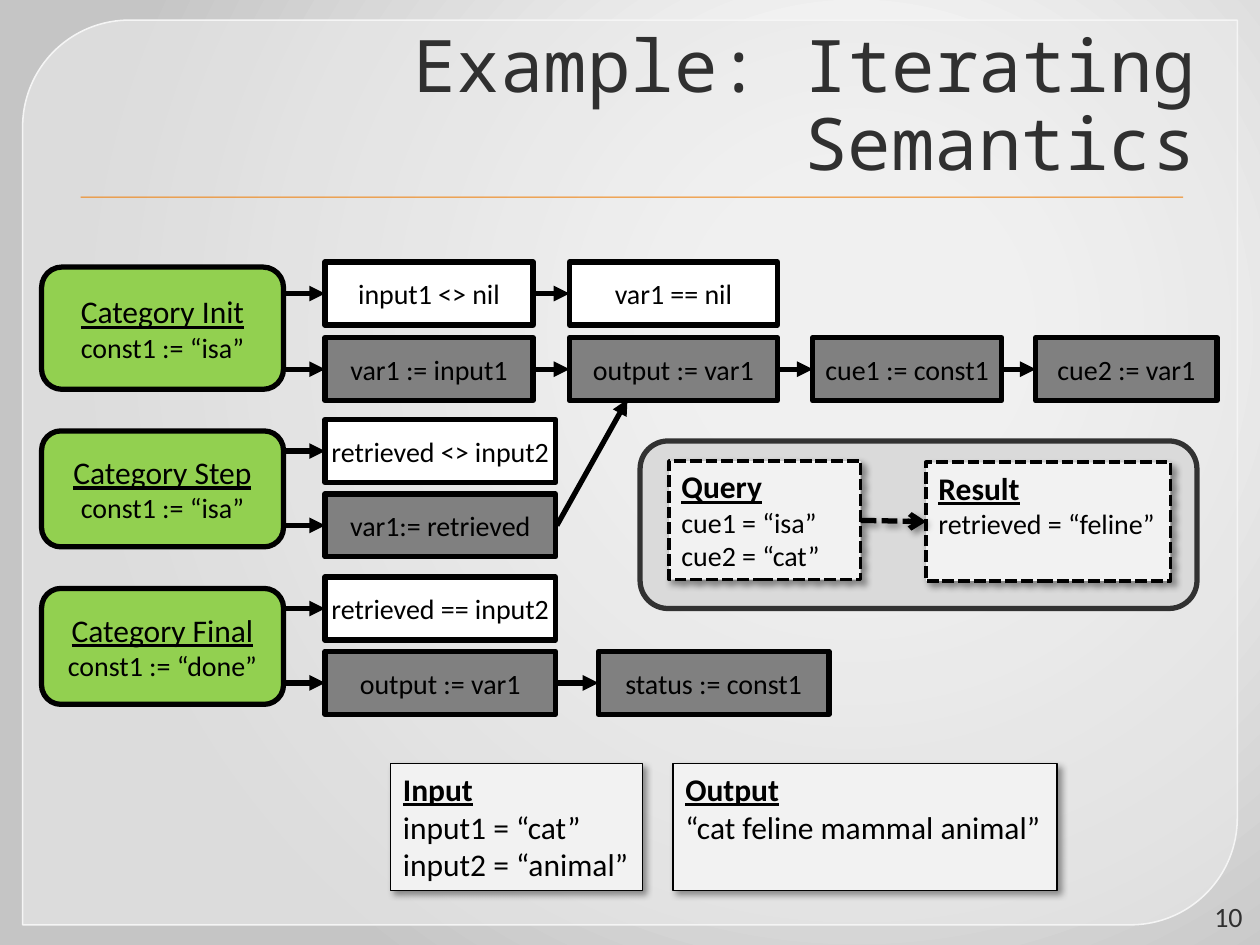
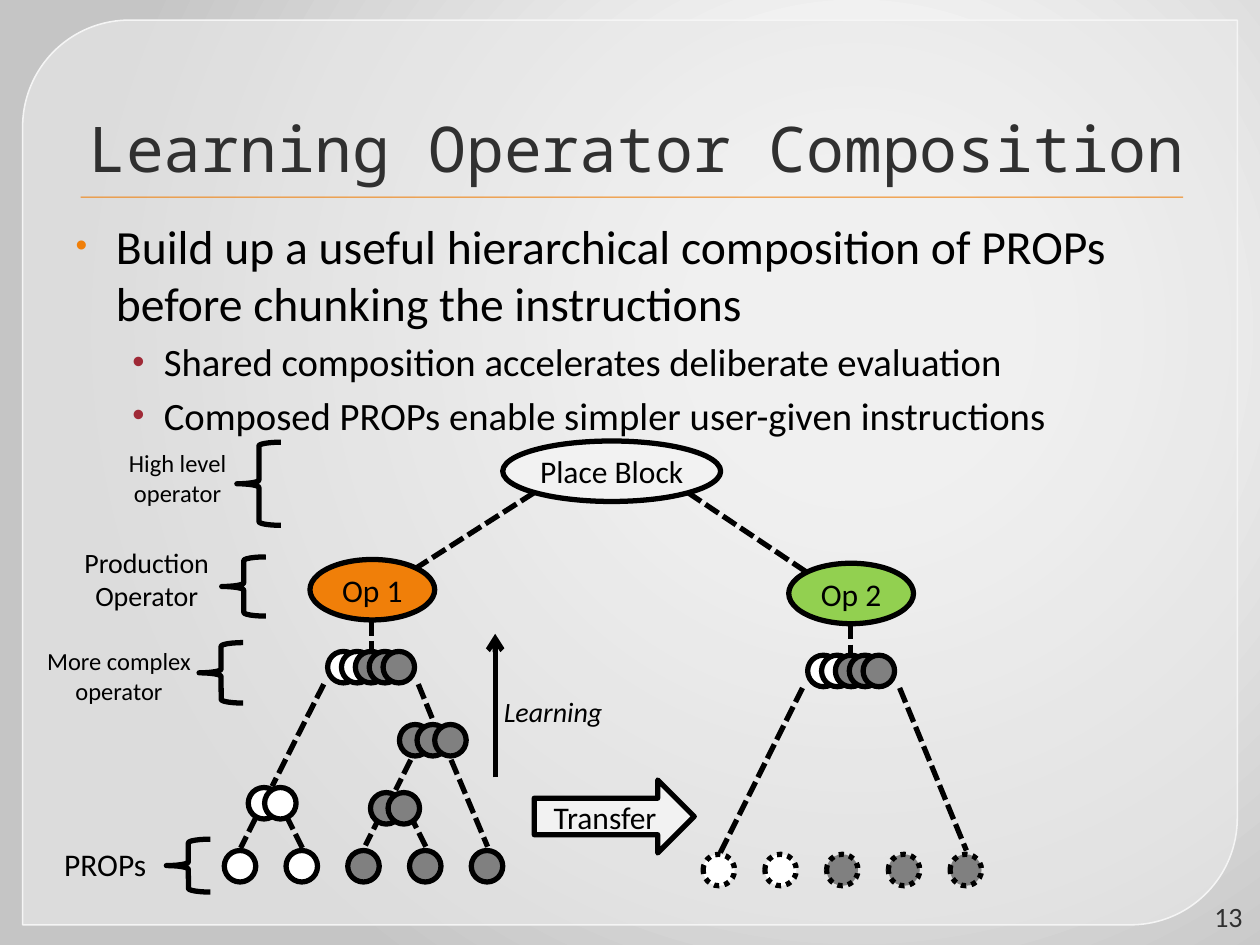
from lxml import etree
from pptx import Presentation
from pptx import util as u
from pptx.dml.color import RGBColor
from pptx.enum import dml, shapes, text
from pptx.oxml import parse_xml
from pptx.oxml.ns import nsdecls, qn

Inches, Pt = u.Inches, u.Pt
SHAPE, ALIGN, ANCHOR = shapes.MSO_SHAPE, text.PP_ALIGN, text.MSO_ANCHOR
DASH, DOT = dml.MSO_LINE.SQUARE_DOT, dml.MSO_LINE.ROUND_DOT


class Theme:
    body_font, title_font = "Calibri", "Noto Sans Mono"
    black, white, gray, pale = "000000", "FFFFFF", "808080", "F2F2F2"
    orange, green, red = "F07F09", "92D050", "9F2936"
    title, panel, panel_edge = "303030", "E9E9E9", "F5F5F5"
    memory, memory_edge = "DADADA", "323232"
    backdrop = "C5C5C5"
    heading, label, small = 18, 16, 14
    bullet, sub_bullet = 27.2, 22.1
    stroke = 3


SHADOW = (f'<a:outerShdw {nsdecls("a")} blurRad="50800" dist="38100" dir="2700000">'
          '<a:srgbClr val="000000"><a:alpha val="40000"/></a:srgbClr></a:outerShdw>')


def add_box(page, kind, at, lines=(), fill=None, line=Theme.black, width=Theme.stroke,
            dash=None, shadow=False, align=ALIGN.CENTER, anchor=ANCHOR.MIDDLE,
            margins=(0, 0), color=Theme.black):
    """Add a shape, or a text box when kind is None; lines are (text, size, style letters)."""
    place = [Inches(value) for value in at]
    if kind is None:
        box = page.shapes.add_textbox(*place)
    else:
        box = page.shapes.add_shape(kind, *place)
        box.shadow.inherit = False
        if shadow:
            box._element.spPr.find(qn("a:effectLst")).append(parse_xml(SHADOW))
        if fill:
            box.fill.solid()
            box.fill.fore_color.rgb = RGBColor.from_string(fill)
        else:
            box.fill.background()
        if line:
            box.line.color.rgb = RGBColor.from_string(line)
            box.line.width = Pt(width)
            if dash:
                box.line.dash_style = dash
        else:
            box.line.fill.background()
    if lines:
        frame = box.text_frame
        frame.word_wrap = True
        frame.vertical_anchor = anchor
        frame.margin_left, frame.margin_right = map(Inches, margins)
        frame.text = "\n".join(words for words, _, _ in lines)
        for para, (_, size, style) in zip(frame.paragraphs, lines):
            para.alignment = align
            font = para.runs[0].font
            font.name, font.size = Theme.body_font, Pt(size)
            font.color.rgb = RGBColor.from_string(color)
            font.bold, font.italic, font.underline = (letter in style for letter in "biu")
    return box


def add_link(page, start, end, head=None, dash=None, shadow=False):
    link = page.shapes.add_connector(
        shapes.MSO_CONNECTOR.STRAIGHT, *(Inches(value) for value in start + end))
    link.line.color.rgb = RGBColor.from_string(Theme.black)
    link.line.width = Pt(Theme.stroke)
    if dash:
        link.line.dash_style = dash
    if head:
        etree.SubElement(link.line._get_or_add_ln(), qn("a:tailEnd"), type=head)
    effects = etree.SubElement(link._element.spPr, qn("a:effectLst"))
    if shadow:
        effects.append(parse_xml(SHADOW))


deck = Presentation()
deck.slide_width, deck.slide_height = Inches(10), Inches(7.5)
semantics = deck.slides.add_slide(deck.slide_layouts[5])
composition = deck.slides.add_slide(deck.slide_layouts[1])

# Shared background, panel and title rule live on the master
master = deck.slide_master
master.background.fill.gradient()
gradient = master.element.find(".//" + qn("p:bg")).find(".//" + qn("a:gradFill"))
stops = "".join(f'<a:gs pos="{pos}"><a:srgbClr val="{color}"/></a:gs>' for pos, color in
                ((0, Theme.white), (20000, Theme.white), (100000, Theme.backdrop)))
gradient.getparent().replace(gradient, parse_xml(
    f'<a:gradFill {nsdecls("a")} rotWithShape="1"><a:gsLst>{stops}</a:gsLst>'
    '<a:path path="circle"><a:fillToRect l="68000" t="35000" r="32000" b="65000"/></a:path>'
    '</a:gradFill>'))
panel = add_box(semantics, SHAPE.ROUND_2_DIAG_RECTANGLE, (0.18, 0.16, 9.64, 7.18),
                fill=Theme.panel, line=Theme.panel_edge, width=0.87)
panel.adjustments[0], panel.adjustments[1] = 0.118, 0
panel_color = panel._element.spPr.find(qn("a:solidFill"))[0]
etree.SubElement(panel_color, qn("a:alpha"), val="65000")
rule = add_box(semantics, SHAPE.RECTANGLE, (0.64, 1.56, 8.75, 0.01),
               fill=Theme.orange, line=None)
for part in (panel, rule):
    master.shapes._spTree.append(part._element)

# Titles and page numbers
for page, title, size, left, width, number in (
        (semantics, "Example: Iterating Semantics", 41.4, 0.42, 9.17, "10"),
        (composition, "Learning Operator Composition", 36, 0.5, 9, "13")):
    holder = page.shapes.title
    holder.left, holder.top = Inches(left), Inches(0.28)
    holder.width, holder.height = Inches(width), Inches(1.25)
    frame = holder.text_frame
    frame.text = title
    frame.auto_size = text.MSO_AUTO_SIZE.NONE
    frame.vertical_anchor = ANCHOR.BOTTOM
    para = frame.paragraphs[0]
    para.alignment = ALIGN.RIGHT
    para.line_spacing = 0.9
    span = para.runs[0]
    span.font.name, span.font.size = Theme.title_font, Pt(size)
    span.font.color.rgb = RGBColor.from_string(Theme.title)
    add_box(page, None, (9.45, 7.12, 0.51, 0.3), [(number, Theme.label, "")],
            align=ALIGN.RIGHT, margins=(0, 0.1), color=Theme.title)

# Semantics: each category leads to a row of conditions and a row of actions
step_height = 0.5
categories = (
    ("Category Init", "const1 := “isa”", 2.12, 0.97, (
        (2.08, Theme.white, (("input1 <> nil", 2.58, 1.65), ("var1 == nil", 4.52, 1.65))),
        (2.68, Theme.gray, (("var1 := input1", 2.58, 1.65), ("output := var1", 4.52, 1.65),
                            ("cue1 := const1", 6.45, 1.5), ("cue2 := var1", 8.22, 1.44))))),
    ("Category Step", "const1 := “isa”", 3.42, 0.92, (
        (3.33, Theme.white, (("retrieved <> input2", 2.58, 1.83),)),
        (3.92, Theme.gray, (("var1:= retrieved", 2.58, 1.83),)))),
    ("Category Final", "const1 := “done”", 4.67, 0.92, (
        (4.58, Theme.white, (("retrieved == input2", 2.58, 1.83),)),
        (5.17, Theme.gray, (("output := var1", 2.58, 1.83),
                            ("status := const1", 4.75, 1.83))))),
)
for name, constant, category_top, category_height, rows in categories:
    for top, fill, steps in rows:
        middle = top + step_height / 2
        previous_right = 2.17
        for words, left, width in steps:
            add_box(semantics, SHAPE.RECTANGLE, (left, top, width, step_height),
                    [(words, Theme.label, "")], fill)
            add_link(semantics, (previous_right, middle), (left, middle), "triangle")
            previous_right = left + width
    add_box(semantics, SHAPE.ROUNDED_RECTANGLE, (0.33, category_top, 1.92, category_height),
            [(name, Theme.heading, "u"), (constant, Theme.label, "")], Theme.green)
add_link(semantics, (4.42, 4.17), (4.98, 3.17), "triangle")

# Semantics: memory query and the input and output cards
add_box(semantics, SHAPE.ROUNDED_RECTANGLE, (5.08, 3.5, 4.42, 1.33),
        fill=Theme.memory, line=Theme.memory_edge)
cards = (
    ("Query", ("cue1 = “isa”", "cue2 = “cat”"), (5.31, 3.66, 1.52, 0.94),
     Theme.label, 2.25, DASH),
    ("Result", ("retrieved = “feline”",), (7.35, 3.67, 1.94, 0.94), Theme.label, 2.25, DASH),
    ("Input", ("input1 = “cat”", "input2 = “animal”"), (3.1, 6.06, 2, 1.01),
     Theme.heading, 0.75, None),
    ("Output", ("“cat feline mammal animal”",), (5.34, 6.06, 3.05, 1.01),
     Theme.heading, 0.75, None),
)
for heading, facts, at, size, width, dash in cards:
    lines = [(heading, Theme.heading, "bu")] + [(fact, size, "") for fact in facts]
    add_box(semantics, SHAPE.RECTANGLE, at, lines, Theme.pale, width=width, dash=dash,
            shadow=True, align=ALIGN.LEFT, anchor=ANCHOR.TOP, margins=(0.1, 0))
add_link(semantics, (6.83, 4.13), (7.35, 4.14), "arrow", DASH, shadow=True)

# Composition: bullet list
holder = composition.placeholders[1]
holder.left, holder.top = Inches(0.5), Inches(1.67)
holder.width, holder.height = Inches(9), Inches(1.58)
frame = holder.text_frame
frame.auto_size = text.MSO_AUTO_SIZE.NONE
bullets = (
    ("Build up a useful hierarchical composition of PROPs before chunking the instructions", 0),
    ("Shared composition accelerates deliberate evaluation", 1),
    ("Composed PROPs enable simpler user-given instructions", 1),
)
levels = (  # size, left margin, hang, space before, bullet colour, bullet percent
    (Theme.bullet, 0.32, 0.32, 0, Theme.orange, 70),
    (Theme.sub_bullet, 0.7, 0.25, 4, Theme.red, 90),
)
frame.text = "\n".join(words for words, _ in bullets)
for para, (_, level) in zip(frame.paragraphs, bullets):
    size, margin, hang, space, color, percent = levels[level]
    para.level = level
    props = para._p.get_or_add_pPr()
    props.set("marL", str(Inches(margin)))
    props.set("indent", str(-Inches(hang)))
    bullet_color = etree.SubElement(props, qn("a:buClr"))
    etree.SubElement(bullet_color, qn("a:srgbClr"), val=color)
    etree.SubElement(props, qn("a:buSzPct"), val=str(percent * 1000))
    etree.SubElement(props, qn("a:buChar"), char="•")
    para.space_before = Pt(space)
    font = para.runs[0].font
    font.name, font.size = Theme.body_font, Pt(size)
    font.color.rgb = RGBColor.from_string(Theme.black)

# Composition: level labels with their braces
for words, size, label_at, brace_at in (
        ("High level operator", Theme.small, (0.83, 3.51, 1.16, 0.57), (1.88, 3.51, 0.35, 0.66)),
        ("Production Operator", Theme.label, (0.5, 4.28, 1.33, 0.64), (1.76, 4.42, 0.35, 0.47)),
        ("More complex operator", Theme.small, (0.31, 5.08, 1.27, 0.57), (1.58, 5.1, 0.35, 0.48)),
        ("PROPs", Theme.heading, (0.33, 6.66, 1.01, 0.4), (1.32, 6.66, 0.35, 0.42))):
    add_box(composition, None, label_at, [(words, size, "")], anchor=ANCHOR.TOP)
    add_box(composition, SHAPE.LEFT_BRACE, brace_at)

# Composition: dashed tree branches
for start, end in (
        ((4.24, 3.91), (3.3, 4.51)), ((5.46, 3.91), (6.4, 4.54)),
        ((2.95, 4.92), (2.95, 5.17)), ((6.75, 4.95), (6.75, 5.2)),
        ((2.57, 5.43), (2.16, 6.24)), ((3.32, 5.43), (3.43, 5.7)),
        ((3.26, 6.03), (3.14, 6.27)), ((3.58, 6.03), (3.87, 6.72)),
        ((2.03, 6.49), (1.91, 6.73)), ((2.27, 6.47), (2.4, 6.73)),
        ((3.02, 6.47), (2.9, 6.71)), ((3.25, 6.46), (3.38, 6.72)),
        ((6.37, 5.46), (5.71, 6.78)), ((7.14, 5.46), (7.67, 6.75))):
    add_link(composition, start, end, dash=DASH)

# Composition: operators, and runs of white and gray PROP dots
for words, at, fill in (("Place Block", (3.99, 3.5, 1.73, 0.48), Theme.pale),
                        ("Op 1", (2.46, 4.44, 0.99, 0.48), Theme.orange),
                        ("Op 2", (6.26, 4.47, 0.99, 0.48), Theme.green)):
    add_box(composition, SHAPE.OVAL, at, [(words, Theme.heading, "")], fill)
dot_size = 0.25
for left, top, pitch, whites, grays, dash in (
        (1.78, 6.75, 0.49, 2, 3, None), (1.97, 6.25, 0.13, 2, 0, None),
        (2.94, 6.29, 0.14, 0, 2, None), (3.17, 5.75, 0.14, 0, 3, None),
        (2.6, 5.17, 0.11, 2, 3, None), (6.41, 5.2, 0.11, 2, 3, None),
        (5.58, 6.78, 0.49, 2, 3, DOT)):
    for index, fill in enumerate([Theme.white] * whites + [Theme.gray] * grays):
        add_box(composition, SHAPE.OVAL, (left + index * pitch, top, dot_size, dot_size),
                fill=fill, dash=dash)

# Composition: learning and transfer arrows
add_link(composition, (3.93, 6.17), (3.93, 5.03), "arrow")
add_box(composition, None, (3.9, 5.46, 0.99, 0.37), [("Learning", Theme.label, "i")],
        align=ALIGN.LEFT, anchor=ANCHOR.TOP, margins=(0.1, 0))
add_box(composition, SHAPE.RIGHT_ARROW, (4.24, 6.19, 1.27, 0.58),
        [("Transfer", Theme.heading, "")], Theme.pale)

deck.save("out.pptx")
